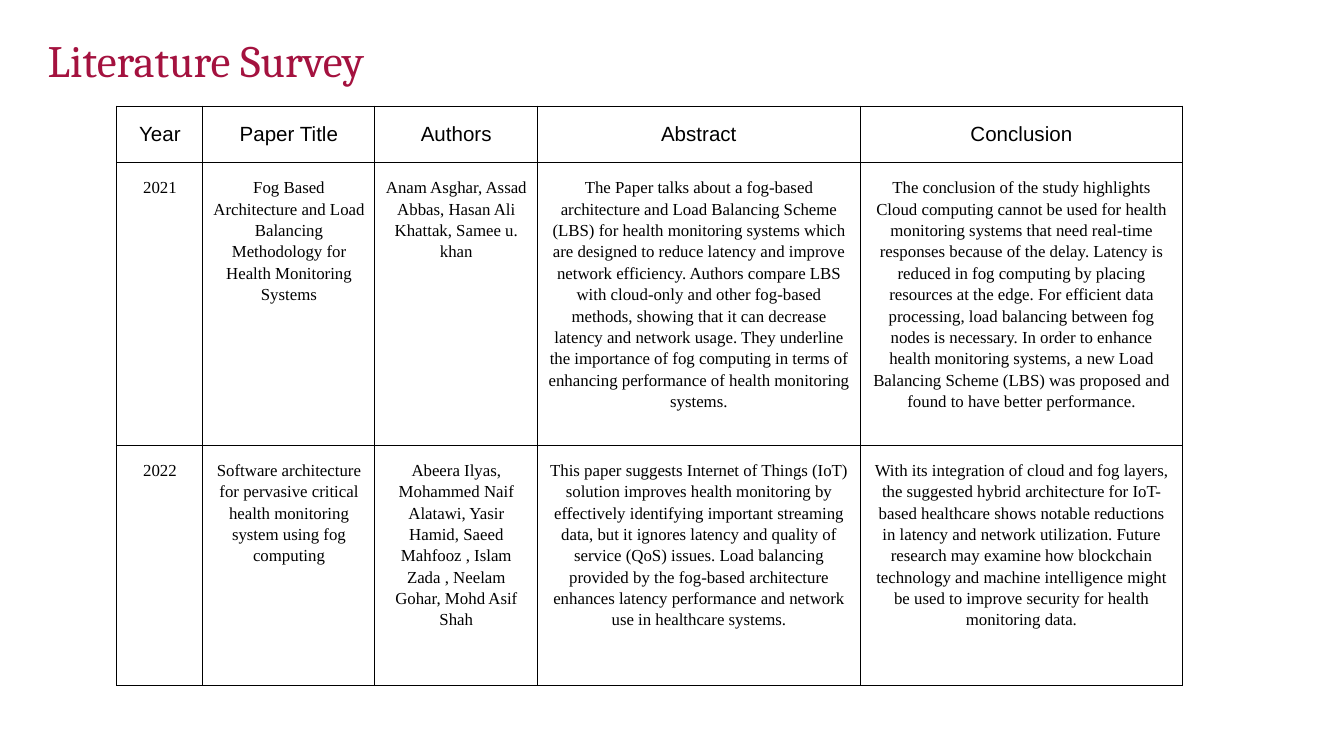
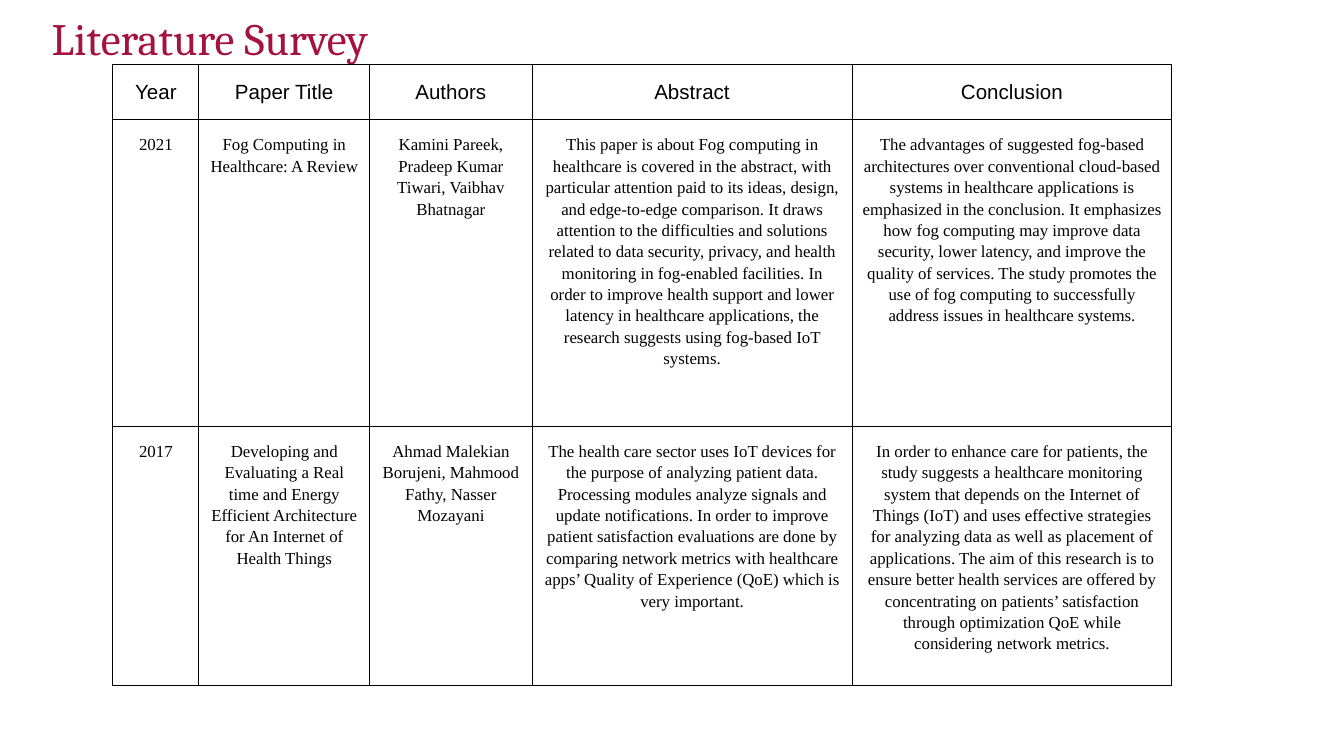
import pptx
import pptx.dml.color
import pptx.enum.text
import pptx.oxml
import pptx.oxml.ns
import pptx.util
from pptx.util import Inches

CRIMSON = pptx.dml.color.RGBColor(0xA4, 0x12, 0x3F)
BLACK = pptx.dml.color.RGBColor(0x00, 0x00, 0x00)

TITLE = "Literature Survey"
HEADERS = ("Year", "Paper Title", "Authors", "Abstract", "Conclusion")
BORDER_SIDES = ("lnL", "lnR", "lnT", "lnB")

# Slide contents: one row for each surveyed paper
FIRST_PAPERS = (
    (
        "2021",
        "Fog Based Architecture and Load Balancing Methodology for Health "
        "Monitoring Systems",
        "Anam Asghar, Assad Abbas, Hasan Ali Khattak, Samee u. khan",
        "The Paper talks about a fog-based architecture and Load Balancing "
        "Scheme (LBS) for health monitoring systems which are designed to "
        "reduce latency and improve network efficiency. Authors compare LBS "
        "with cloud-only and other fog-based methods, showing that it can "
        "decrease latency and network usage. They underline the importance of "
        "fog computing in terms of enhancing performance of health monitoring "
        "systems.",
        "The conclusion of the study highlights Cloud computing cannot be used "
        "for health monitoring systems that need real-time responses because "
        "of the delay. Latency is reduced in fog computing by placing "
        "resources at the edge. For efficient data processing, load balancing "
        "between fog nodes is necessary. In order to enhance health monitoring "
        "systems, a new Load Balancing Scheme (LBS) was proposed and found to "
        "have better performance.",
    ),
    (
        "2022",
        "Software architecture for pervasive critical health monitoring system "
        "using fog computing",
        "Abeera Ilyas, Mohammed Naif Alatawi, Yasir Hamid, Saeed Mahfooz , "
        "Islam Zada , Neelam Gohar, Mohd Asif Shah",
        "This paper suggests Internet of Things (IoT) solution improves health "
        "monitoring by effectively identifying important streaming data, but "
        "it ignores latency and quality of service (QoS) issues. Load "
        "balancing provided by the fog-based architecture enhances latency "
        "performance and network use in healthcare systems.",
        "With its integration of cloud and fog layers, the suggested hybrid "
        "architecture for IoT-based healthcare shows notable reductions in "
        "latency and network utilization. Future research may examine how "
        "blockchain technology and machine intelligence might be used to "
        "improve security for health monitoring data.",
    ),
)

SECOND_PAPERS = (
    (
        "2021",
        "Fog Computing in Healthcare: A Review",
        "Kamini Pareek, Pradeep Kumar Tiwari, Vaibhav Bhatnagar",
        "This paper is about Fog computing in healthcare is covered in the "
        "abstract, with particular attention paid to its ideas, design, and "
        "edge-to-edge comparison. It draws attention to the difficulties and "
        "solutions related to data security, privacy, and health monitoring in "
        "fog-enabled facilities. In order to improve health support and lower "
        "latency in healthcare applications, the research suggests using "
        "fog-based IoT systems.",
        "The advantages of suggested fog-based architectures over conventional "
        "cloud-based systems in healthcare applications is emphasized in the "
        "conclusion. It emphasizes how fog computing may improve data "
        "security, lower latency, and improve the quality of services. The "
        "study promotes the use of fog computing to successfully address "
        "issues in healthcare systems.",
    ),
    (
        "2017",
        "Developing and Evaluating a Real time and Energy Efficient "
        "Architecture for An Internet of Health Things",
        "Ahmad Malekian Borujeni, Mahmood Fathy, Nasser Mozayani",
        "The health care sector uses IoT devices for the purpose of analyzing "
        "patient data. Processing modules analyze signals and update "
        "notifications. In order to improve patient satisfaction evaluations "
        "are done by comparing network metrics with healthcare apps’ Quality "
        "of Experience (QoE) which is very important.",
        "In order to enhance care for patients, the study suggests a "
        "healthcare monitoring system that depends on the Internet of Things "
        "(IoT) and uses effective strategies for analyzing data as well as "
        "placement of applications. The aim of this research is to ensure "
        "better health services are offered by concentrating on patients’ "
        "satisfaction through optimization QoE while considering network "
        "metrics.",
    ),
)


def write_text(text_frame, text, *, font, size, color, line_spacing,
               align=pptx.enum.text.PP_ALIGN.LEFT):
    """Fill the first paragraph of a frame and format it."""
    paragraph = text_frame.paragraphs[0]
    paragraph.alignment = align
    paragraph.line_spacing = line_spacing
    run = paragraph.add_run()
    run.text = text
    run.font.name = font
    run.font.size = pptx.util.Pt(size)
    run.font.bold = False
    run.font.color.rgb = color


class SurveyDeck:
    """Holds the shared style and the current slide."""

    title_style = {"font": "Cambria", "size": 24, "color": CRIMSON,
                   "line_spacing": 0.9}
    cell_style = {"color": BLACK, "line_spacing": 1.15,
                  "align": pptx.enum.text.PP_ALIGN.CENTER}
    header_style = {"font": "Arial", "size": 11, **cell_style}
    body_style = {"font": "Times New Roman", "size": 9, **cell_style}
    border_width = pptx.util.Pt(0.6)
    side_margin = Inches(0.3) // 4

    def __init__(self):
        self.presentation = pptx.Presentation()
        # Widescreen, 16:9
        self.presentation.slide_width = Inches(10)
        self.presentation.slide_height = Inches(10) * 9 // 16
        self.slide = None

    def add_slide(self):
        blank_layout = self.presentation.slide_layouts[6]
        self.slide = self.presentation.slides.add_slide(blank_layout)

    def add_title(self, text, left, top):
        shape = self.slide.shapes.add_textbox(
            Inches(left), Inches(top), Inches(9.38), Inches(0.35))
        text_frame = shape.text_frame
        text_frame.word_wrap = True
        text_frame.vertical_anchor = pptx.enum.text.MSO_ANCHOR.MIDDLE
        text_frame.margin_left = text_frame.margin_right = self.side_margin
        text_frame.margin_top = text_frame.margin_bottom = self.side_margin // 2
        write_text(text_frame, text, **self.title_style)

    def add_table(self, rows, left, top, column_widths, row_heights):
        table = self.slide.shapes.add_table(
            len(rows), len(column_widths), Inches(left), Inches(top),
            Inches(sum(column_widths)), Inches(sum(row_heights))).table
        table.first_row = table.horz_banding = False
        for column, width in zip(table.columns, column_widths):
            column.width = Inches(width)
        for row, height in zip(table.rows, row_heights):
            row.height = Inches(height)
        for row_index, texts in enumerate(rows):
            style = self.body_style if row_index else self.header_style
            for column_index, text in enumerate(texts):
                self.fill_cell(table.cell(row_index, column_index), text, style)

    def fill_cell(self, cell, text, style):
        cell.margin_left = cell.margin_right = self.side_margin
        cell.margin_top = cell.margin_bottom = Inches(0.1)
        # Borders come before the fill in the cell properties
        properties = cell._tc.get_or_add_tcPr()
        for side in BORDER_SIDES:
            properties.append(pptx.oxml.parse_xml(
                f'<a:{side} {pptx.oxml.ns.nsdecls("a")} w="{self.border_width}">'
                f'<a:solidFill><a:srgbClr val="{BLACK}"/></a:solidFill>'
                f'</a:{side}>'))
        cell.fill.background()
        write_text(cell.text_frame, text, **style)


def main():
    deck = SurveyDeck()

    # First pair of papers
    deck.add_slide()
    deck.add_title(TITLE, 0.28, 0.29)
    deck.add_table((HEADERS, *FIRST_PAPERS), 0.87, 0.79,
                   (0.64, 1.28, 1.21, 2.4, 2.4), (0.42, 1.95, 1.79))

    # Second pair of papers
    deck.add_slide()
    deck.add_title(TITLE, 0.31, 0.13)
    deck.add_table((HEADERS, *SECOND_PAPERS), 0.84, 0.48,
                   (0.64, 1.27, 1.21, 2.38, 2.38), (0.41, 2.28, 1.87))

    deck.presentation.save("out.pptx")


if __name__ == "__main__":
    main()
